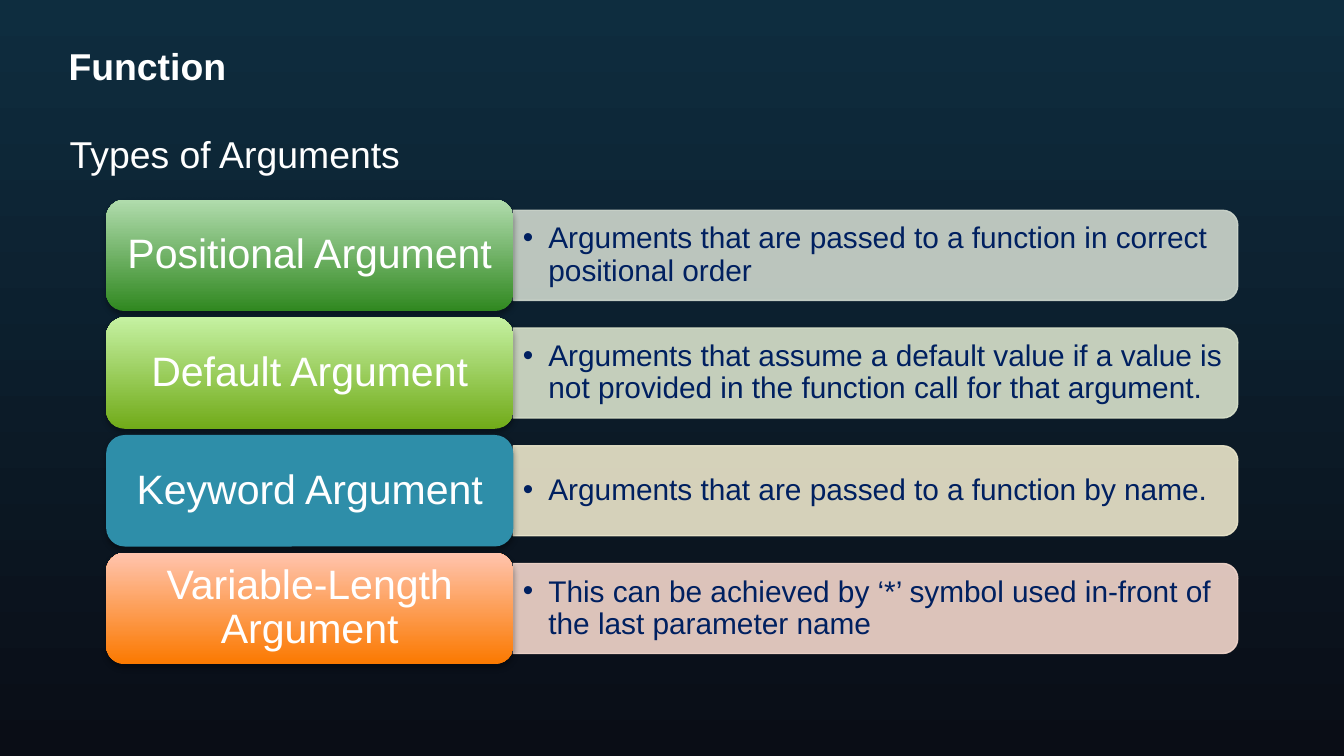
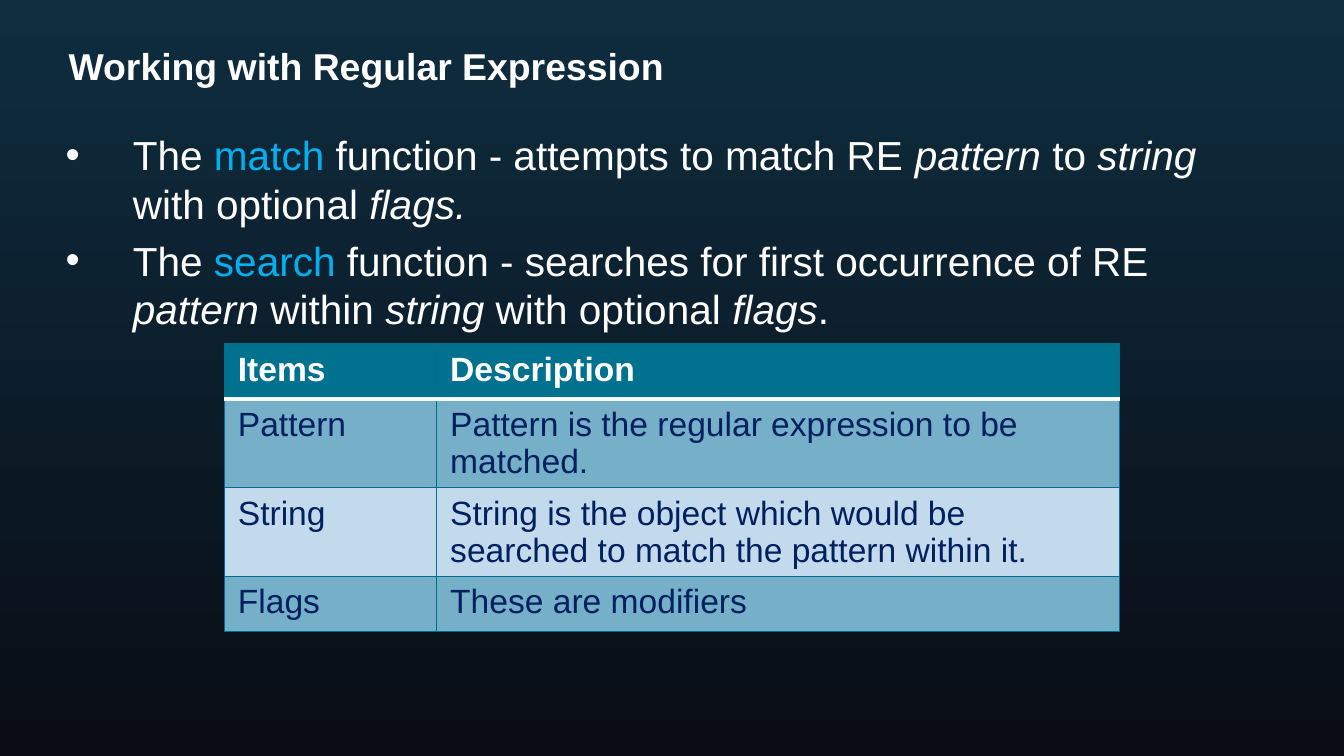
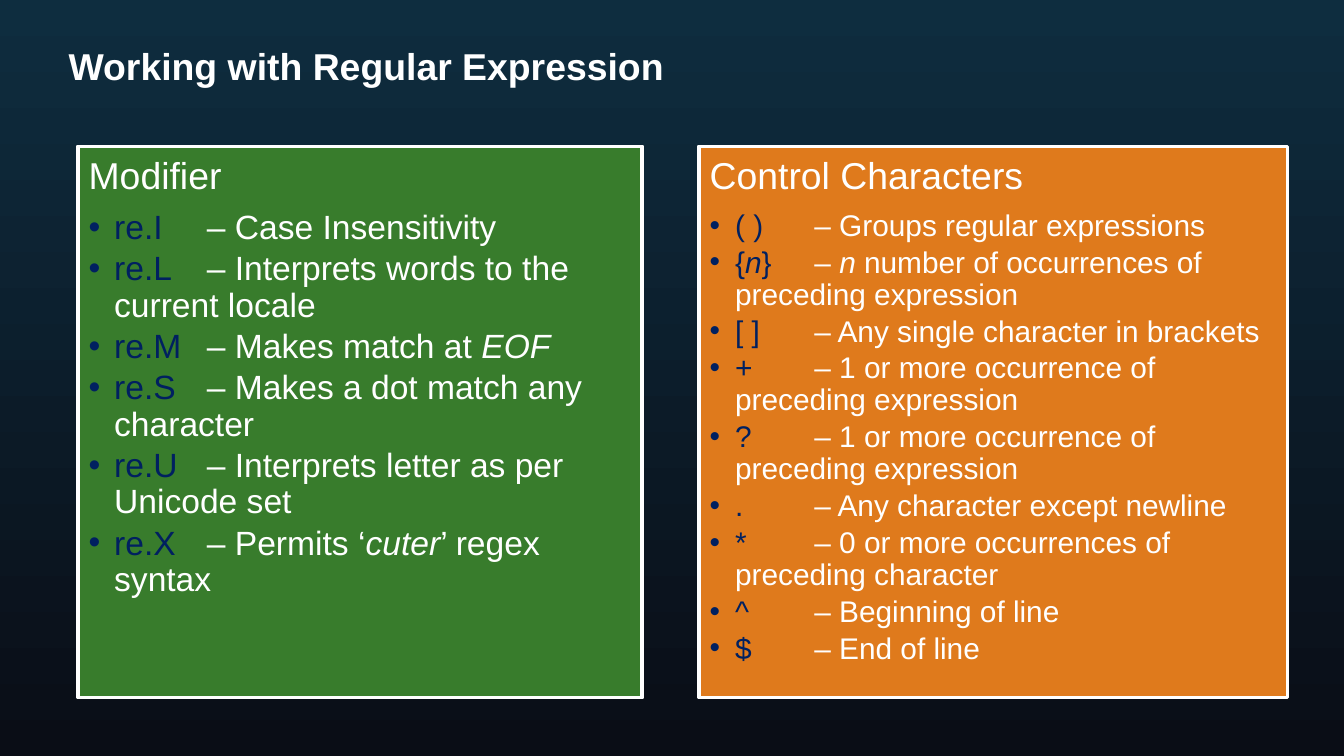
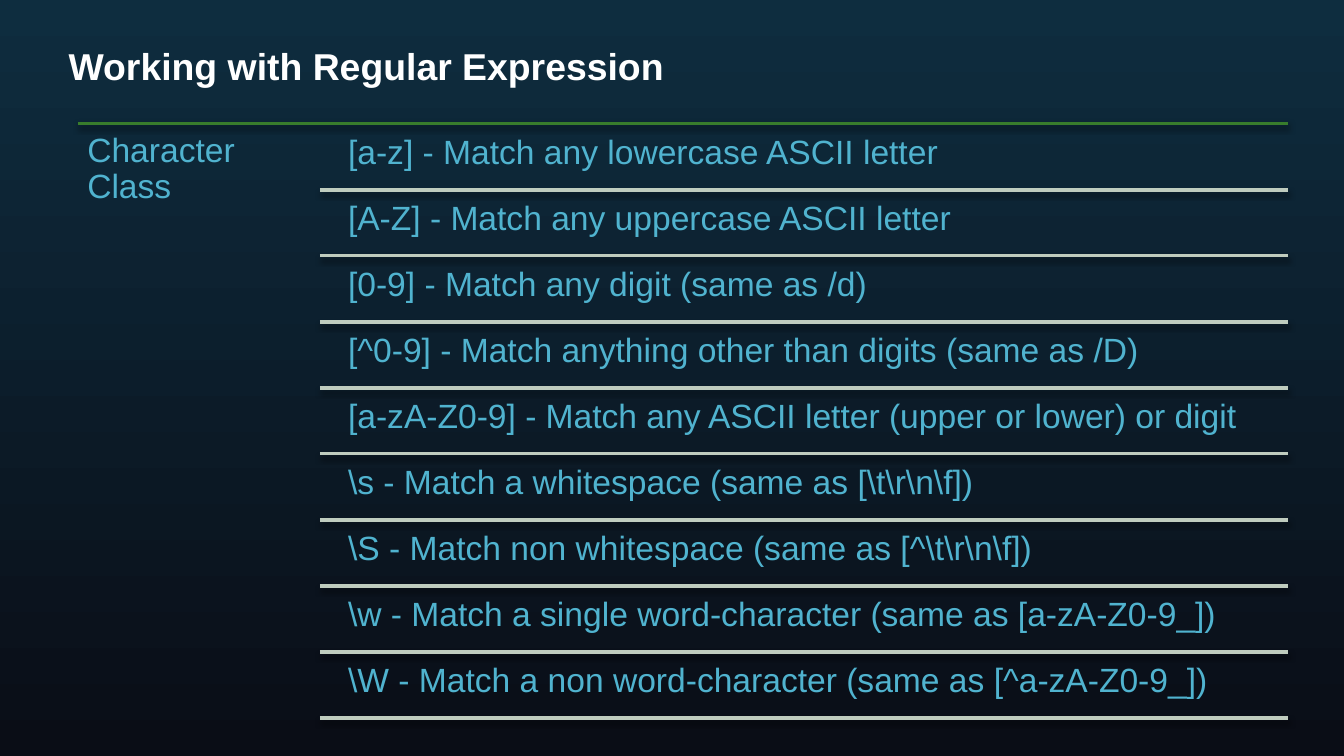
from lxml import etree
from pptx import Presentation
from pptx import util as u
from pptx.dml.color import RGBColor
from pptx.enum import shapes, text
from pptx.oxml.ns import qn

WHITE = RGBColor(0xFF, 0xFF, 0xFF)
NAVY = RGBColor(0x00, 0x20, 0x60)
SKY = RGBColor(0x00, 0xB0, 0xF0)
AQUA = RGBColor(0x50, 0xB3, 0xCF)
BG_TOP, BG_BOTTOM = RGBColor(0x0E, 0x2D, 0x3F), RGBColor(0x0A, 0x0D, 0x16)
GREEN, ORANGE = RGBColor(0x38, 0x7C, 0x2C), RGBColor(0xDF, 0x7A, 0x1C)
RULE = RGBColor(0xBF, 0xCC, 0xBE)
HEAD, BORDER = RGBColor(0x00, 0x72, 0x8F), RGBColor(0x00, 0x6F, 0x8C)
BAND_DARK, BAND_LIGHT = RGBColor(0x75, 0xAF, 0xC8), RGBColor(0xC3, 0xD9, 0xEC)
REGEX_TITLE = "Working with Regular Expression"


class Deck:
    """Holds the presentation, its shared style and the current slide."""

    font = "Arial"

    def __init__(self):
        self.prs = Presentation()
        self.prs.slide_width = u.Inches(10)
        self.prs.slide_height = u.Inches(10 * 9 / 16)
        self.gradient(self.prs.slide_master.background.fill, (BG_TOP, BG_BOTTOM), 270)

    def apply(self, obj, fmt):
        for name, value in fmt.items():
            setattr(obj, name, value)

    def gradient(self, fill, colors, angle):
        fill.gradient()
        fill.gradient_angle = angle
        for stop, color in zip(fill.gradient_stops, colors):
            stop.color.rgb = color

    def shadow(self, effects, alpha, dist):
        shdw = etree.SubElement(effects, qn("a:outerShdw"), blurRad=str(u.Pt(3.1)),
                                dist=str(u.Pt(dist)), dir="5400000", rotWithShape="0")
        clr = etree.SubElement(shdw, qn("a:srgbClr"), val="000000")
        etree.SubElement(clr, qn("a:alpha"), val=str(alpha * 1000))

    def slide(self, title):
        self.s = self.prs.slides.add_slide(self.prs.slide_layouts[5])
        sp = self.s.shapes.title
        self.place(sp, 0.41, 0.27, 9.18, 0.5)
        self.fill_text(sp.text_frame, [title], 20, bold=True)

    def place(self, sp, *box):
        self.apply(sp, dict(zip(("left", "top", "width", "height"), map(u.Inches, box))))

    def runs(self, p, runs, size, color=WHITE, bold=False):
        for item in [runs] if isinstance(runs, str) else runs:
            words, fmt = (item, {}) if isinstance(item, str) else item
            r = p.add_run()
            r.text = words
            fmt = {"color": color, **fmt}
            r.font.color.rgb = fmt.pop("color")
            self.apply(r.font, {"name": self.font, "size": u.Pt(size), "bold": bold, **fmt})

    def bullet(self, p, indent, tab=None):
        pPr = p._p.get_or_add_pPr()
        pPr.set("marL", str(u.Inches(indent)))
        pPr.set("indent", str(-u.Inches(indent)))
        etree.SubElement(pPr, qn("a:buFont"), typeface=self.font)
        etree.SubElement(pPr, qn("a:buChar"), char="•")
        if tab:
            tabs = etree.SubElement(pPr, qn("a:tabLst"))
            etree.SubElement(tabs, qn("a:tab"), pos=str(u.Inches(tab)), algn="l")

    def fill_text(self, tf, paragraphs, size, color=WHITE, bold=False, indent=0, tab=None,
                  inset=(0.1, 0.05), anchor=text.MSO_ANCHOR.TOP, append=False, **spacing):
        x, y = map(u.Inches, inset)
        self.apply(tf, dict(word_wrap=True, auto_size=text.MSO_AUTO_SIZE.NONE,
                            vertical_anchor=anchor, margin_left=x, margin_right=x,
                            margin_top=y, margin_bottom=y))
        for i, content in enumerate(paragraphs):
            p = tf.add_paragraph() if i or append else tf.paragraphs[0]
            self.apply(p, {"alignment": text.PP_ALIGN.LEFT, **spacing})
            if indent:
                self.bullet(p, indent, tab)
            self.runs(p, content, size, color, bold)

    def text(self, box, paragraphs, size, **fmt):
        sp = self.s.shapes.add_textbox(*map(u.Inches, box))
        self.fill_text(sp.text_frame, paragraphs, size, **fmt)

    def shape(self, kind, box, colors, line=None, width=0.75, alpha=None):
        sp = self.s.shapes.add_shape(kind, *map(u.Inches, box))
        sp.shadow.inherit = False
        if len(colors) == 2:
            self.gradient(sp.fill, colors, 90)
        else:
            sp.fill.solid()
            sp.fill.fore_color.rgb = colors[0]
        if line is None:
            sp.line.fill.background()
        else:
            sp.line.color.rgb = line
            sp.line.width = u.Pt(width)
        if alpha:
            for clr in sp._element.spPr.iter(qn("a:srgbClr")):
                etree.SubElement(clr, qn("a:alpha"), val=str(alpha * 1000))
        return sp

    def rule(self, left, right, y, color):
        ends = map(u.Inches, (left, y, right, y))
        cn = self.s.shapes.add_connector(shapes.MSO_CONNECTOR.STRAIGHT, *ends)
        cn.line.color.rgb = color
        cn.line.width = u.Pt(2)
        self.shadow(etree.SubElement(cn._element.spPr, qn("a:effectLst")), 38, 1.6)

    def border(self, cell, side, color, width):
        ln = etree.SubElement(cell._tc.get_or_add_tcPr(), qn("a:ln" + side), w=str(u.Pt(width)))
        fill = etree.SubElement(ln, qn("a:solidFill"))
        etree.SubElement(fill, qn("a:srgbClr"), val=str(color))

    def table(self, box, widths, heights, rows, size):
        frame = self.s.shapes.add_table(len(rows), len(widths), *map(u.Inches, box))
        tbl = frame.table
        for col, width in zip(tbl.columns, widths):
            col.width = u.Inches(width)
        for i, (row, height) in enumerate(zip(rows, heights)):
            tbl.rows[i].height = u.Inches(height)
            for j, words in enumerate(row):
                cell = tbl.cell(i, j)
                white = {0: "B", 1: "T"}.get(i)
                for side in "LRTB":
                    self.border(cell, side, *((WHITE, 2) if side == white else (BORDER, 0.75)))
                cell.fill.solid()
                cell.fill.fore_color.rgb = (BAND_DARK if i % 2 else BAND_LIGHT) if i else HEAD
                self.runs(cell.text_frame.paragraphs[0], words, size,
                          NAVY if i else WHITE, bold=not i)

    def panel(self, box, color, heading, entries, size, tab):
        sp = self.shape(shapes.MSO_SHAPE.RECTANGLE, box, [color], WHITE, 2)
        fmt = dict(inset=(0.08, 0.08), line_spacing=0.9)
        self.fill_text(sp.text_frame, [heading], 20, space_after=u.Pt(7), **fmt)
        self.fill_text(sp.text_frame, entries, size, indent=0.19, tab=tab, append=True,
                       space_after=u.Pt(0.15 * size), **fmt)


def it(words, **fmt):
    return words, {"italic": True, **fmt}


def entry(code, *meaning):
    return [(code + "\t", {"color": NAVY}), *meaning]


def arguments_slide(d):
    d.slide("Function")
    d.text((0.42, 0.93, 9.17, 4.3), ["Types of Arguments"], 20, space_before=u.Pt(4))
    kinds = [
        ("Positional Argument", ("308820", "B1DCAD"), "CED7CD",
         "Arguments that are passed to a function in correct positional order"),
        ("Default Argument", ("71AB19", "C5F1A2"), "D9E2CB",
         "Arguments that assume a default value if a value is not provided in the function "
         "call for that argument."),
        ("Keyword Argument", ("2E8EA9",), "EBE6CB",
         "Arguments that are passed to a function by name."),
        ("Variable-Length Argument", ("FB7900", "FFC4AE"), "F3D7CC",
         "This can be achieved by ‘*’ symbol used in-front of the last parameter name"),
    ]
    middle = text.MSO_ANCHOR.MIDDLE
    for i, (name, label_colors, bar_color, meaning) in enumerate(kinds):
        center = 1.9 + i * 0.876
        bar = RGBColor.from_string(bar_color)
        sp = d.shape(shapes.MSO_SHAPE.ROUND_2_SAME_RECTANGLE,
                     (6.18, center - 5.39 / 2, 0.67, 5.39), [bar], bar, alpha=90)
        sp.rotation = 90
        d.text((3.82, center - 0.3, 5.35, 0.6), [meaning], 16, color=NAVY, indent=0.19,
               inset=(0.07, 0.03), anchor=middle, line_spacing=0.9)
        label = d.shape(shapes.MSO_SHAPE.ROUNDED_RECTANGLE,
                        (0.79, center - 0.83 / 2, 3.03, 0.83),
                        [RGBColor.from_string(c) for c in label_colors])
        d.shadow(label._element.spPr.find(qn("a:effectLst")), 35, 1.8)
        d.fill_text(label.text_frame, [name], 22, inset=(0.09, 0.05), anchor=middle,
                    alignment=text.PP_ALIGN.CENTER, line_spacing=0.9)


def functions_slide(d):
    d.slide(REGEX_TITLE)
    d.text((0.39, 0.92, 9.19, 1.4), [
        ["The ", ("match", {"color": SKY}), " function - attempts to match RE ", it("pattern "),
         "to ", it("string "), "with optional ", it("flags.")],
        ["The ", ("search", {"color": SKY}), " function - searches for first occurrence of RE ",
         it("pattern "), "within ", it("string "), "with optional ", it("flags"), "."],
    ], 21.7, indent=0.5, space_before=u.Pt(4.3))
    d.table((1.67, 2.56, 6.66, 2.12), (1.58, 5.08), (0.41, 0.65, 0.65, 0.41), [
        ("Items", "Description"),
        ("Pattern", "Pattern is the regular expression to be matched."),
        ("String", "String is the object which would be searched to match the pattern within it."),
        ("Flags", "These are modifiers"),
    ], 18)


def symbols_slide(d):
    d.slide(REGEX_TITLE)
    d.panel((0.58, 1.09, 4.2, 4.1), GREEN, "Modifier", [
        entry("re.I", "– Case Insensitivity"),
        entry("re.L", "– Interprets words to the current locale"),
        entry("re.M", "– Makes match at ", it("EOF")),
        entry("re.S", "– Makes a dot match any character"),
        entry("re.U", "– Interprets letter as per Unicode set"),
        entry("re.X", "– Permits ‘", it("cuter"), "’ regex syntax"),
    ], 18, 0.88)
    d.panel((5.2, 1.09, 4.38, 4.1), ORANGE, "Control Characters", [
        entry("( )", "– Groups regular expressions"),
        [("{", {"color": NAVY}), it("n", color=NAVY),
         *entry("}", "– ", it("n"), " number of occurrences of preceding expression")],
        entry("[ ]", "– Any single character in brackets"),
        entry("+", "– 1 or more occurrence of preceding expression"),
        entry("?", "– 1 or more occurrence of preceding expression"),
        entry(".", "– Any character except newline"),
        entry("*", "– 0 or more occurrences of preceding character"),
        entry("^", "– Beginning of line"),
        entry("$", "– End of line"),
    ], 16, 0.78)


def classes_slide(d):
    d.slide(REGEX_TITLE)
    fmt = dict(color=AQUA, inset=(0.07, 0.07), line_spacing=0.9)
    d.rule(0.58, 9.58, 0.92, GREEN)
    d.text((0.58, 0.92, 1.8, 4.44), ["Character Class"], 18, **fmt)
    classes = [
        "[a-z] - Match any lowercase ASCII letter",
        "[A-Z] - Match any uppercase ASCII letter",
        "[0-9] - Match any digit (same as /d)",
        "[^0-9] - Match anything other than digits (same as /D)",
        "[a-zA-Z0-9] - Match any ASCII letter (upper or lower) or digit",
        r"\s - Match a whitespace (same as [\t\r\n\f])",
        r"\S - Match non whitespace (same as [^\t\r\n\f])",
        r"\w - Match a single word-character (same as [a-zA-Z0-9_])",
        r"\W - Match a non word-character (same as [^a-zA-Z0-9_])",
    ]
    step = (5.34 - 0.92) / len(classes)
    for i, meaning in enumerate(classes, 1):
        y = 0.92 + i * step
        d.text((2.52, y - 0.47, 7.07, 0.47), [meaning], 18, **fmt)
        d.rule(2.38, 9.58, y, RULE)


def main():
    d = Deck()
    for build in (arguments_slide, functions_slide, symbols_slide, classes_slide):
        build(d)
    d.prs.save("out.pptx")


if __name__ == "__main__":
    main()
